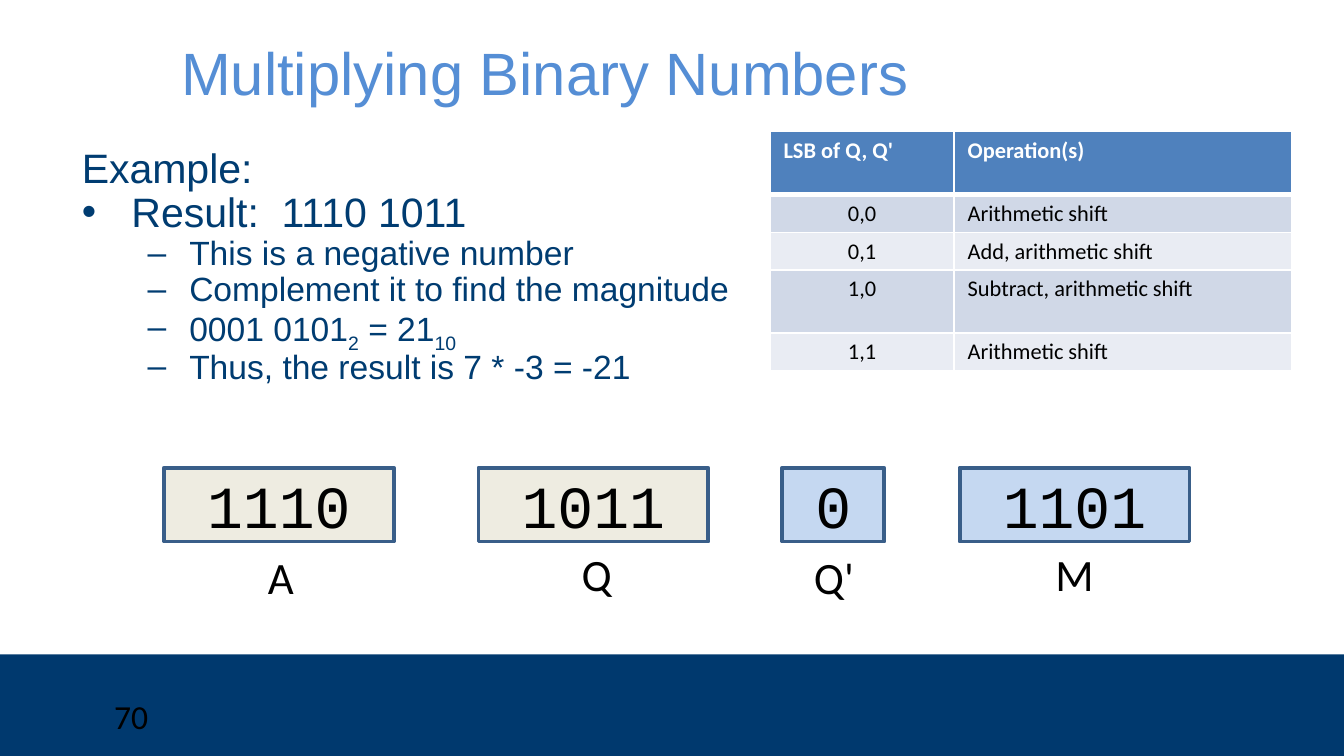
from lxml.etree import SubElement
from pptx import Presentation
from pptx.dml.color import RGBColor
from pptx.enum.shapes import MSO_SHAPE as SHAPE
from pptx.enum.text import MSO_ANCHOR as ANCHOR, PP_ALIGN as ALIGN
from pptx.oxml.ns import qn
from pptx.util import Inches, Pt

NAVY, WHITE, BLACK = "003C71", "FFFFFF", "000000"


def color(hex_code):
    return RGBColor.from_string(hex_code)


def add_run(paragraph, text, size, font, hex_code, bold=False):
    run = paragraph.add_run()
    run.text = text
    run.font.size = Pt(size)
    run.font.name = font
    run.font.bold = bold
    run.font.color.rgb = color(hex_code)
    return run


# Widescreen slide, 16:9
prs = Presentation()
prs.slide_width, prs.slide_height = Inches(10), Inches(10 * 9 / 16)
slide = prs.slides.add_slide(prs.slide_layouts[6])
shapes = slide.shapes

# Footer band
footer_top = Inches(4.87)
footer = shapes.add_shape(SHAPE.RECTANGLE, 0, footer_top, prs.slide_width, prs.slide_height - footer_top)
footer.shadow.inherit = False
footer.fill.solid()
footer.fill.fore_color.rgb = color("00396E")
footer.line.fill.background()

# Title, page number and register names
captions = [
    ("Multiplying Binary Numbers", 1.25, 0.31, 7.5, 0.45, 32, "Arial", "558ED5", ALIGN.LEFT, ANCHOR.MIDDLE),
    ("70", 0.75, 5.13, 2.08, 0.37, 18, "Calibri", BLACK, ALIGN.LEFT, ANCHOR.TOP),
]
for name, left, top, width in [("A", 1.88, 4.04, 0.42), ("Q", 4.21, 4.02, 0.46),
                               ("Q'", 5.93, 4.04, 0.55), ("M", 7.75, 4.02, 0.49)]:
    captions.append((name, left, top, width, 0.37, 24, "Calibri", BLACK, ALIGN.CENTER, ANCHOR.TOP))

for text, left, top, width, height, size, font, hex_code, align, anchor in captions:
    caption = shapes.add_textbox(Inches(left), Inches(top), Inches(width), Inches(height)).text_frame
    caption.word_wrap = True
    caption.vertical_anchor = anchor
    caption.paragraphs[0].alignment = align
    add_run(caption.paragraphs[0], text, size, font, hex_code)

# Worked example: level, bullet, pieces of text (every second piece is a subscript)
example_lines = [
    (0, None, ["Example:"]),
    (0, "•", ["Result:  1110 1011"]),
    (1, "–", ["This is a negative number"]),
    (1, "–", ["Complement it to find the magnitude"]),
    (1, "–", ["0001 0101", "2", " = 21", "10"]),
    (1, "–", ["Thus, the result is 7 * -3 = -21"]),
]
example = shapes.add_textbox(Inches(0.5), Inches(1.05), Inches(8.71), Inches(3.5)).text_frame
example.word_wrap = True
for index, (level, bullet, pieces) in enumerate(example_lines):
    line = example.add_paragraph() if index else example.paragraphs[0]
    line.level = level
    line.line_spacing = 0.9
    margin, indent = [(0.38, -0.37), (0.81, -0.31)][level]
    props = line._p.get_or_add_pPr()
    props.set("marL", str(Inches(margin)))
    props.set("indent", str(Inches(indent)))
    if bullet:
        bullet_color = SubElement(props, qn("a:buClr"))
        SubElement(bullet_color, qn("a:srgbClr"), val=NAVY)
        SubElement(props, qn("a:buFont"), typeface="Arial")
        SubElement(props, qn("a:buChar"), char=bullet)
    else:
        SubElement(props, qn("a:buNone"))
    for position, piece in enumerate(pieces):
        run = add_run(line, piece, [22, 18][level], "Arial", NAVY)
        if position % 2:
            run._r.get_or_add_rPr().set("baseline", "-25000")

# Table of operations
operations = [
    ("LSB of Q, Q'", "Operation(s)"),
    ("0,0", "Arithmetic shift"),
    ("0,1", "Add, arithmetic shift"),
    ("1,0", "Subtract, arithmetic shift"),
    ("1,1", "Arithmetic shift"),
]
row_heights = [0.47, 0.27, 0.27, 0.47, 0.27]
table = shapes.add_table(5, 2, Inches(5.73), Inches(0.98), Inches(3.88), Inches(sum(row_heights))).table
table.columns[0].width, table.columns[1].width = Inches(1.37), Inches(2.51)
for r, texts in enumerate(operations):
    table.rows[r].height = Inches(row_heights[r])
    header = r == 0
    for c, text in enumerate(texts):
        cell = table.cell(r, c)
        cell.margin_top = cell.margin_bottom = Inches(0.04)
        for side in ("L", "R", "T", "B"):
            thick = (r, side) in [(0, "B"), (1, "T")]
            border = SubElement(cell._tc.get_or_add_tcPr(), qn("a:ln" + side),
                                w=str(Pt(3 if thick else 0.96)))
            SubElement(SubElement(border, qn("a:solidFill")), qn("a:srgbClr"), val=WHITE)
        cell.fill.solid()
        cell.fill.fore_color.rgb = color("4F81BD" if header else ["E9ECF3", "D0D8E7"][r % 2])
        entry = cell.text_frame.paragraphs[0]
        entry.alignment = ALIGN.LEFT if header or c else ALIGN.CENTER
        add_run(entry, text, 12, "Calibri", WHITE if header else BLACK, header)

# Register values
for bits, left, width, fill in [("1110", 1.22, 1.71, "EEECE1"), ("1011", 3.56, 1.71, "EEECE1"),
                                ("0", 5.82, 0.76, "C5D8F1"), ("1101", 7.14, 1.71, "C5D8F1")]:
    register = shapes.add_shape(SHAPE.RECTANGLE, Inches(left), Inches(3.48), Inches(width), Inches(0.55))
    register.shadow.inherit = False
    register.fill.solid()
    register.fill.fore_color.rgb = color(fill)
    register.line.color.rgb = color("395E89")
    register.line.width = Pt(2)
    register.text_frame.vertical_anchor = ANCHOR.MIDDLE
    value = register.text_frame.paragraphs[0]
    value.alignment = ALIGN.CENTER
    add_run(value, bits, 32, "Courier New", BLACK)

prs.save("out.pptx")
